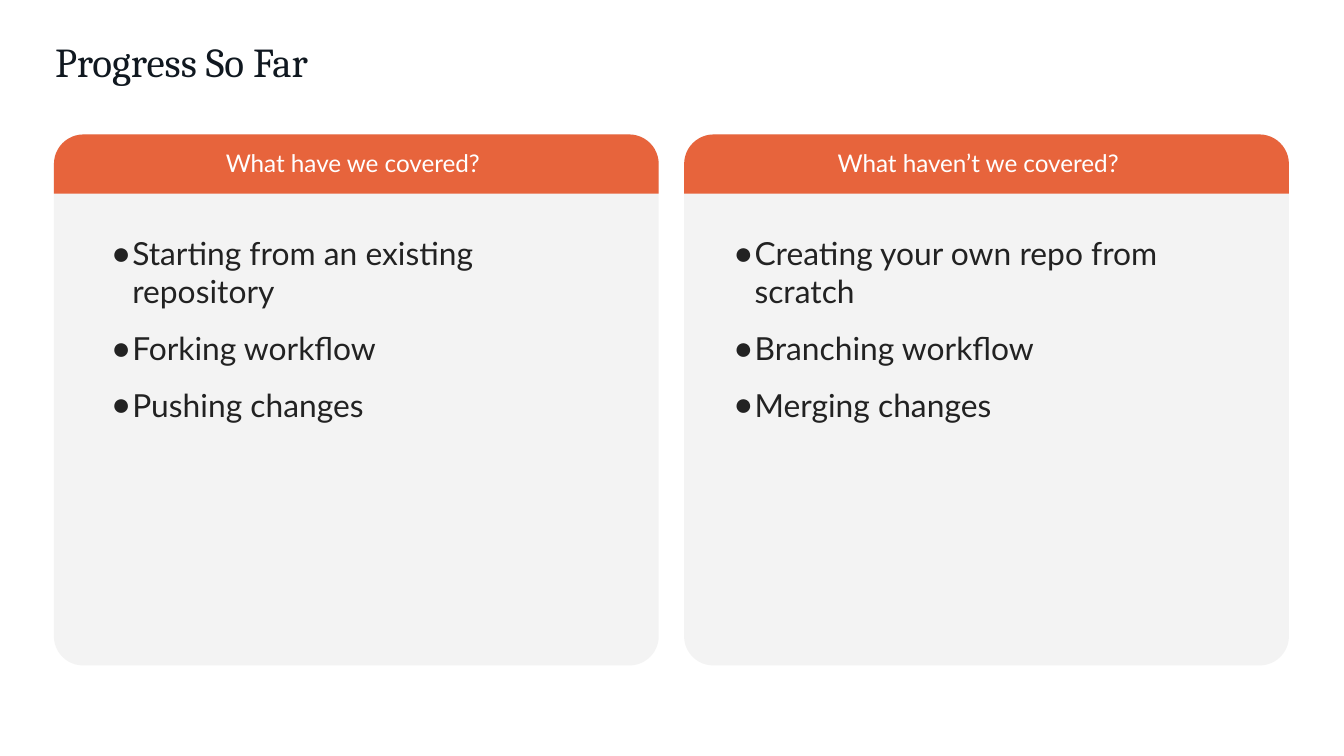
"""Build the "Progress So Far" slide: two cards, each with a heading and a list."""
from lxml import etree
from pptx import Presentation
from pptx.dml.color import RGBColor
from pptx.enum.shapes import MSO_SHAPE as Shape
from pptx.enum.text import MSO_ANCHOR as Anchor, MSO_AUTO_SIZE as AutoSize, PP_ALIGN as Align
from pptx.oxml.ns import qn
from pptx.util import Cm, Pt


def rgb(value):
    return RGBColor.from_string(value)


def format_text(holder, left, top, width, height, lines, font, size, color):
    holder.left, holder.top, holder.width, holder.height = left, top, width, height
    frame = holder.text_frame
    frame.text = "\n".join(lines)
    frame.word_wrap, frame.vertical_anchor = True, Anchor.TOP
    frame.auto_size = AutoSize.NONE
    frame.margin_left = frame.margin_right = Cm(0.25)
    frame.margin_top = frame.margin_bottom = Cm(0.25)
    for position, paragraph in enumerate(frame.paragraphs):
        properties = paragraph._p.get_or_add_pPr()
        if len(lines) > 1:
            properties.set("marL", str(Cm(0.39)))
            properties.set("indent", str(Cm(-0.69)))
            bullet_color = etree.SubElement(properties, qn("a:buClr"))
            etree.SubElement(bullet_color, qn("a:srgbClr"), val=color)
            etree.SubElement(properties, qn("a:buFont"), typeface="Arial")
            etree.SubElement(properties, qn("a:buChar"), char="●")
        paragraph.font.name, paragraph.font.size = font, Pt(size)
        paragraph.font.color.rgb = rgb(color)
        paragraph.font.bold = False
        paragraph.line_spacing = 1.0
        paragraph.space_before = Pt(10 if position else 0)


deck = Presentation()
deck.slide_width, deck.slide_height = Cm(25.4), Cm(14.28)
slide = deck.slides.add_slide(deck.slide_layouts[4])
title = slide.shapes.title
holders = {holder.placeholder_format.idx: holder for holder in slide.placeholders}

format_text(title, Cm(0.79), Cm(0.43), Cm(22.58), Cm(1.6),
            ["Progress So Far"], "Cambria", 22, "101820")
title.text_frame.paragraphs[0].alignment = Align.LEFT

topics = [
    (1.02, 1.86, "What have we covered? ",
     ["Starting from an existing repository", "Forking workflow", "Pushing changes"]),
    (12.93, 13.62, "What haven’t we covered?",
     ["Creating your own repo from scratch", "Branching workflow", "Merging changes"]),
]
for column, (card_left, text_left, question, answers) in enumerate(topics):
    for outline, height, corner, fill in [
        (Shape.ROUNDED_RECTANGLE, 10.03, 0.055, "F3F3F3"),
        (Shape.ROUND_2_SAME_RECTANGLE, 1.12, 0.5, "E7643C"),
    ]:
        panel = slide.shapes.add_shape(outline, Cm(card_left), Cm(2.54), Cm(11.43), Cm(height))
        panel.adjustments[0] = corner
        panel.fill.solid()
        panel.fill.fore_color.rgb = rgb(fill)
        panel.line.fill.background()
        panel.shadow.inherit = False
        title.element.addprevious(panel.element)

    heading, answer_list = holders[2 * column + 1], holders[2 * column + 2]
    format_text(heading, Cm(text_left), Cm(2.55), Cm(9.73), Cm(1.04),
                [question], "Lato", 13, "FFFFFF")
    heading.text_frame.paragraphs[0].alignment = Align.CENTER
    format_text(answer_list, Cm(text_left), Cm(4.17), Cm(9.73), Cm(4.14),
                answers, "Lato", 17, "222222")
    answer_list.text_frame.auto_size = AutoSize.SHAPE_TO_FIT_TEXT
    answer_list.text_frame.paragraphs[-1].space_after = Pt(10)

deck.save("out.pptx")
